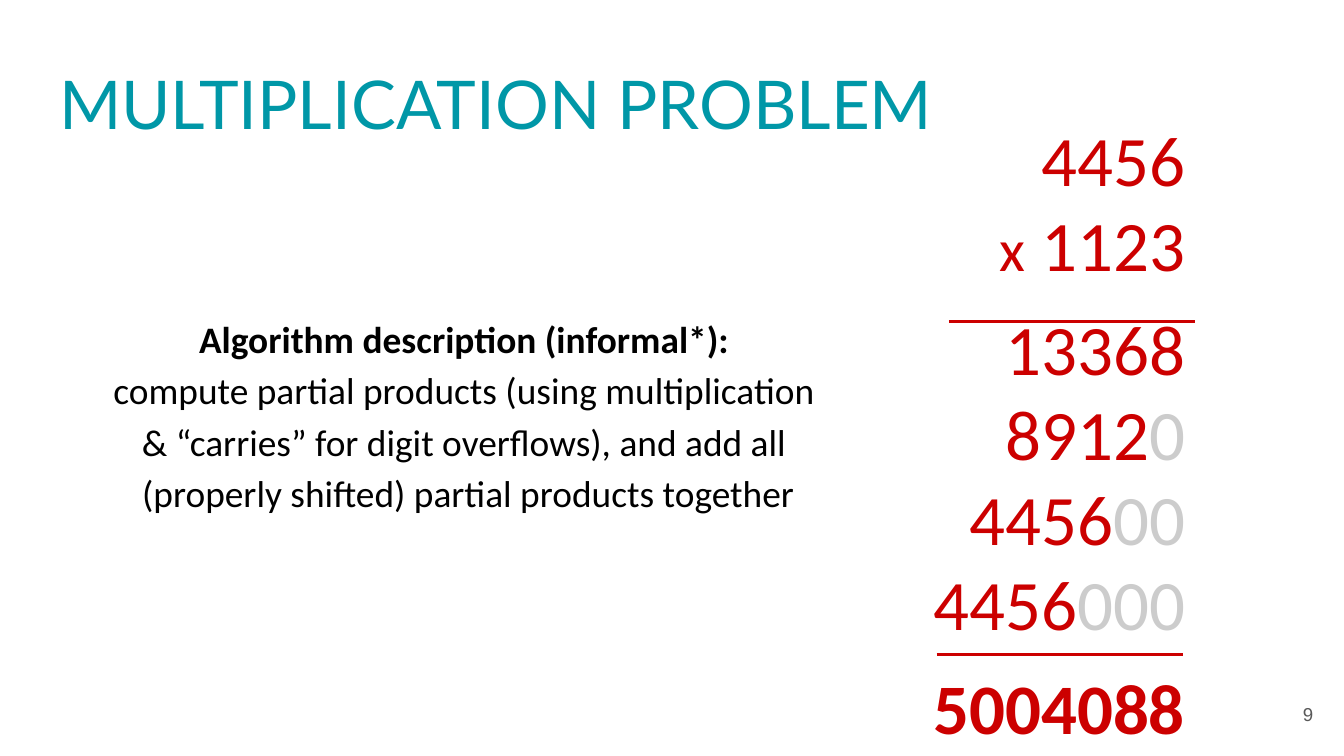
from dataclasses import dataclass

from lxml import etree
from pptx import Presentation
from pptx.dml.color import RGBColor
from pptx.enum.shapes import MSO_CONNECTOR
from pptx.enum.text import MSO_ANCHOR, MSO_AUTO_SIZE, PP_ALIGN
from pptx.oxml.ns import qn
from pptx.util import Inches, Pt

LEFT, CENTER, RIGHT = PP_ALIGN.LEFT, PP_ALIGN.CENTER, PP_ALIGN.RIGHT
TOP, MIDDLE = MSO_ANCHOR.TOP, MSO_ANCHOR.MIDDLE
NO_FIT = MSO_AUTO_SIZE.NONE
STRAIGHT = MSO_CONNECTOR.STRAIGHT

TEAL = RGBColor(0x00, 0x97, 0xA7)
RED = RGBColor(0xCC, 0x00, 0x00)
LIGHT_GRAY = RGBColor(0xCC, 0xCC, 0xCC)
DARK_GRAY = RGBColor(0x59, 0x59, 0x59)
BLACK = RGBColor(0x00, 0x00, 0x00)
WHITE = RGBColor(0xFF, 0xFF, 0xFF)


@dataclass
class Span:
    text: str
    size: float
    color: RGBColor
    font: str = "Calibri"
    bold: bool = False


@dataclass
class Row:
    spans: list[Span]
    space_before: float = 0


@dataclass
class Rule:
    left: float
    top: float
    width: float = 1.83


def digits(text: str, zeros: int = 0, bold: bool = False) -> list[Span]:
    spans = [Span(text, 38, RED, bold=bold)]
    if zeros:
        spans.append(Span("0" * zeros, 38, LIGHT_GRAY))
    return spans


def place(sp, left: float, top: float, width: float, height: float) -> None:
    sp.left, sp.top = Inches(left), Inches(top)
    sp.width, sp.height = Inches(width), Inches(height)


def write(sp, rows: list[Row], align, anchor=TOP, line_spacing: float = 1.0) -> None:
    tf = sp.text_frame
    tf.word_wrap = True
    tf.auto_size = NO_FIT
    tf.vertical_anchor = anchor
    tf.margin_left = tf.margin_right = tf.margin_top = tf.margin_bottom = Inches(0.1)
    for i, row in enumerate(rows):
        p = tf.add_paragraph() if i else tf.paragraphs[0]
        p.alignment = align
        p.line_spacing = line_spacing
        p.space_before = Pt(row.space_before)
        for span in row.spans:
            for j, part in enumerate(span.text.split("\n")):
                if j:
                    p.add_line_break()
                if not part:
                    continue
                r = p.add_run()
                r.text = part
                r.font.name = span.font
                r.font.size = Pt(span.size)
                r.font.bold = span.bold
                r.font.color.rgb = span.color


def add_text(slide, box: tuple[float, float, float, float], rows: list[Row],
             anchor=TOP, margin_right: float = 0.1) -> None:
    sp = slide.shapes.add_textbox(*(Inches(v) for v in box))
    write(sp, rows, RIGHT, anchor)
    sp.text_frame.margin_right = Inches(margin_right)


def add_rule(slide, rule: Rule) -> None:
    line = slide.shapes.add_connector(
        STRAIGHT, Inches(rule.left), Inches(rule.top),
        Inches(rule.left + rule.width), Inches(rule.top))
    line.line.color.rgb = RED
    line.line.width = Pt(1.5)
    etree.SubElement(line._element.spPr, qn("a:effectLst"))


def remove_bullet(p) -> None:
    pPr = p._p.get_or_add_pPr()
    pPr.set("marL", "0")
    pPr.set("indent", "0")
    etree.SubElement(pPr, qn("a:buNone"))


SUM_ROWS = [
    Row(digits("4456")),
    Row([Span("x", 32, RED), Span(" 1123", 38, RED)]),
    Row(digits("13368"), 10),
    Row(digits("8912", 1)),
    Row(digits("4456", 2)),
    Row(digits("4456", 3)),
    Row(digits("5004088", bold=True), 10),
]
RULES = [Rule(7.06, 2.39), Rule(6.97, 4.87)]
DESCRIPTION = [
    Span("Algorithm description (informal*): \n", 20, BLACK, bold=True),
    Span("compute partial products (using multiplication \n"
         "& “carries” for digit overflows), and add all \n"
         "(properly shifted) partial products together", 20, BLACK),
]


def main() -> None:
    prs = Presentation()
    prs.slide_width = Inches(10)
    prs.slide_height = prs.slide_width * 9 // 16
    slide = prs.slides.add_slide(prs.slide_layouts[1])

    title = slide.shapes.title
    place(title, 0.34, 0.41, 9.32, 0.71)
    title.line.color.rgb = WHITE
    title.line.width = Pt(2.25)
    write(title, [Row([Span("MULTIPLICATION PROBLEM", 36, TEAL, "Lato")])], LEFT, MIDDLE)

    add_text(slide, (6.81, 0.76, 2.29, 4.7), SUM_ROWS, margin_right=0.28)
    for rule in RULES:
        add_rule(slide, rule)
    add_text(slide, (9.27, 5.1, 0.6, 0.43), [Row([Span("9", 10, DARK_GRAY, "Arial")])], MIDDLE)

    body = slide.placeholders[1]
    place(body, 0.17, 2.2, 6.63, 2.18)
    remove_bullet(body.text_frame.paragraphs[0])
    write(body, [Row(DESCRIPTION)], CENTER, line_spacing=1.15)

    prs.save("out.pptx")


if __name__ == "__main__":
    main()
